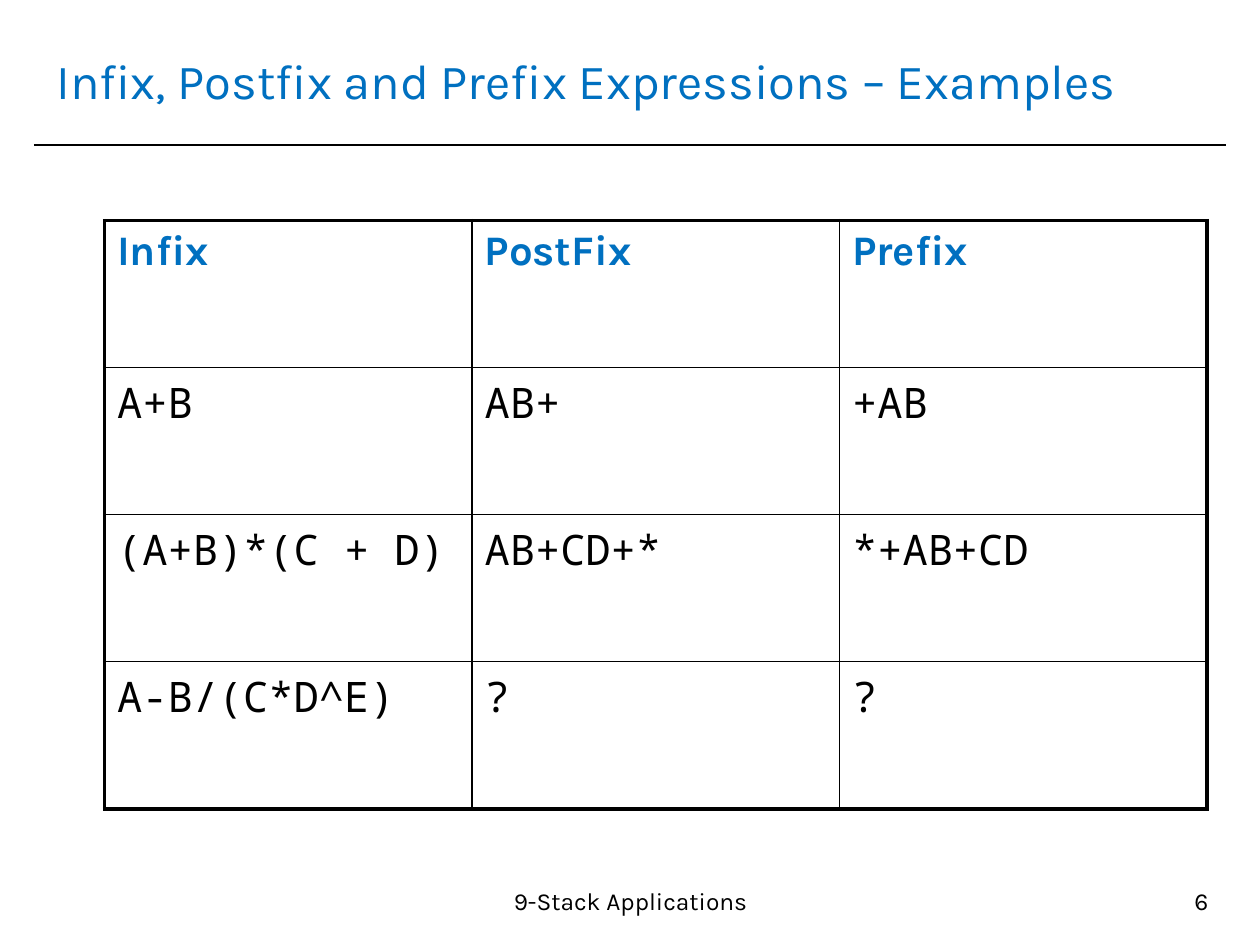
import pptx
import pptx.dml.color
import pptx.enum.shapes
import pptx.enum.text
import pptx.oxml.ns
import pptx.util
from lxml import etree
from pptx.util import Inches

BLUE = "0070C0"
BLACK = "000000"
TEXT_FONT = "Karla"
CODE_FONT = "Noto Sans Mono"
THIN, THICK = 1, 2.25
ALIGN = pptx.enum.text.PP_ALIGN
ANCHOR = pptx.enum.text.MSO_ANCHOR

EXPRESSIONS = [
    ["Infix", "PostFix", "Prefix"],
    ["A+B", "AB+", "+AB"],
    ["(A+B)*(C + D)", "AB+CD+*", "*+AB+CD"],
    ["A-B/(C*D^E)", "?", "?"],
]


def rgb(value):
    return pptx.dml.color.RGBColor.from_string(value)


def add_child(parent, tag, **attributes):
    return etree.SubElement(parent, pptx.oxml.ns.qn(tag), **attributes)


def add_span(para, text, size, font, color, bold=False):
    span = para.add_run()
    span.text = text
    span.font.size = pptx.util.Pt(size)
    span.font.name = font
    span.font.bold = bold
    span.font.color.rgb = rgb(color)


def add_text(page, text, left, top, width, height, size, color=BLACK,
             align=ALIGN.LEFT, anchor=ANCHOR.TOP):
    box = page.shapes.add_textbox(Inches(left), Inches(top), Inches(width), Inches(height))
    box.text_frame.word_wrap = True
    box.text_frame.vertical_anchor = anchor
    para = box.text_frame.paragraphs[0]
    para.alignment = align
    add_span(para, text, size, TEXT_FONT, color)


def add_rule(page, left, right, y):
    rule = page.shapes.add_connector(
        pptx.enum.shapes.MSO_CONNECTOR.STRAIGHT,
        Inches(left), Inches(y), Inches(right), Inches(y))
    rule.line.color.rgb = rgb(BLACK)
    rule.line.width = pptx.util.Pt(THIN)
    add_child(rule._element.spPr, "a:effectLst")


def set_borders(cell, widths):
    """Draw the cell's borders; widths maps L, R, T and B, in that order, to points."""
    properties = cell._tc.get_or_add_tcPr()
    for side, width in widths.items():
        border = add_child(properties, f"a:ln{side}", w=str(pptx.util.Pt(width)))
        fill = add_child(border, "a:solidFill")
        add_child(fill, "a:srgbClr", val=BLACK)


def add_expression_table(page, left, top, width, height):
    row_count, column_count = len(EXPRESSIONS), len(EXPRESSIONS[0])
    table = page.shapes.add_table(row_count, column_count, Inches(left), Inches(top),
                                  Inches(width), Inches(height)).table
    table.first_row = False
    table.horz_banding = False
    for r, texts in enumerate(EXPRESSIONS):
        for c, text in enumerate(texts):
            cell = table.cell(r, c)
            outer = {"L": c == 0, "R": c == column_count - 1,
                     "T": r == 0, "B": r == row_count - 1}
            set_borders(cell, {side: THICK if edge else THIN for side, edge in outer.items()})
            cell.fill.background()
            para = cell.text_frame.paragraphs[0]
            para.space_before = pptx.util.Pt(4.8)
            if r == 0:
                add_span(para, text, 24, TEXT_FONT, BLUE, bold=True)
            else:
                add_span(para, text, 24, CODE_FONT, BLACK)


def main():
    deck = pptx.Presentation()
    deck.slide_width, deck.slide_height = Inches(10), Inches(7.5)
    page = deck.slides.add_slide(deck.slide_layouts[6])
    add_rule(page, 0.27, 9.73, 1.15)
    add_text(page, "Infix, Postfix and Prefix Expressions – Examples",
             0.35, 0.21, 9.29, 0.85, 28, BLUE, anchor=ANCHOR.MIDDLE)
    add_text(page, "9-Stack Applications", 3.35, 6.98, 3.31, 0.52, 14, align=ALIGN.CENTER)
    add_text(page, "6", 7.36, 6.98, 2.33, 0.52, 14, align=ALIGN.RIGHT)
    add_expression_table(page, 0.83, 1.75, 8.75, 4.67)
    deck.save("out.pptx")


if __name__ == "__main__":
    main()
